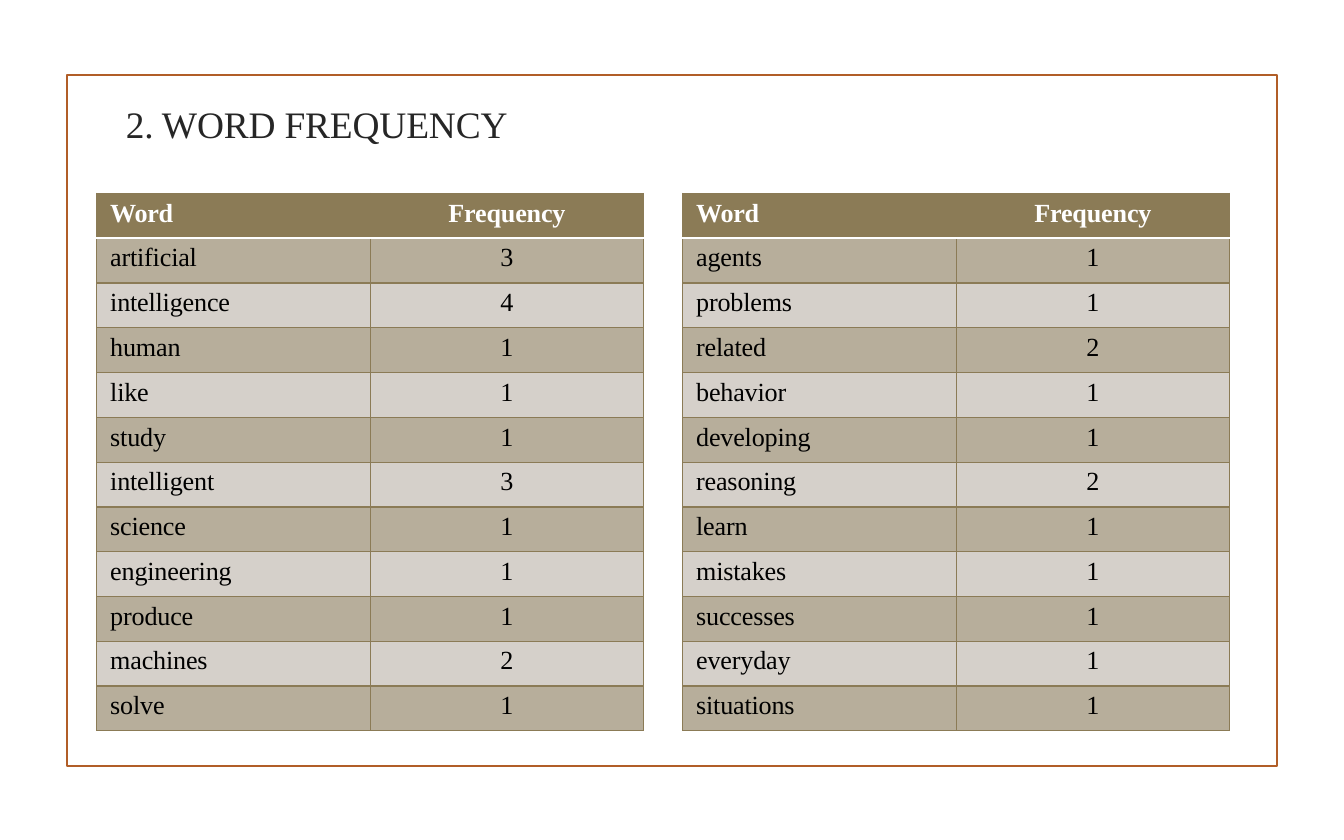
from dataclasses import dataclass

from lxml.etree import SubElement
from pptx import Presentation
from pptx.dml.color import RGBColor
from pptx.enum.shapes import MSO_SHAPE as Shape
from pptx.enum.text import MSO_ANCHOR as Anchor
from pptx.enum.text import MSO_AUTO_SIZE as Fit
from pptx.enum.text import PP_ALIGN as Align
from pptx.oxml import parse_xml
from pptx.oxml.ns import nsdecls, qn
from pptx.util import Inches, Pt

FONT = "Times New Roman"
GOLD, DARK, LIGHT = "8B7B56", "B7AE9B", "D5D0CA"
WHITE, BLACK = "FFFFFF", "000000"


@dataclass
class Count:
    word: str
    freq: int


@dataclass
class Grid:
    left: float
    space: float
    rows: list[Count]


def color(code: str) -> RGBColor:
    return RGBColor.from_string(code)


def style(para, size: float, code: str, bold: bool = False, gap: float = 0) -> None:
    """Format every run; gap is the letter spacing in points."""
    for run in para.runs:
        run.font.name = FONT
        run.font.size = Pt(size)
        run.font.bold = bold
        run.font.color.rgb = color(code)
        run.font._element.set("spc", str(round(gap * 100)))


def add_edges(cell, first: bool, second: bool) -> None:
    """Draw the cell borders, with a white rule below the header."""
    props = cell._tc.get_or_add_tcPr()
    white = {"B"} if first else {"T"} if second else set()
    for i, side in enumerate("LRTB"):
        code, width = (WHITE, 1.25) if side in white else (GOLD, 0.75)
        line = parse_xml(f'<a:ln{side} {nsdecls("a")} w="{Pt(width)}"/>')
        fill = SubElement(line, qn("a:solidFill"))
        SubElement(fill, qn("a:srgbClr")).set("val", code)
        props.insert(i, line)


def add_cell(cell, text: str, row: int, col: int, space: float) -> None:
    head = row == 0
    cell.margin_left = Inches(0 if col else 0.1)
    cell.margin_top = Inches(0.04)
    cell.margin_right = cell.margin_bottom = 0
    cell.fill.solid()
    cell.fill.fore_color.rgb = color(GOLD if head else DARK if row % 2 else LIGHT)
    add_edges(cell, head, row == 1)
    para = cell.text_frame.paragraphs[0]
    para.text = text
    para.space_before = Pt(space)
    para.alignment = Align.CENTER if col else Align.LEFT
    gap = (-0.1 if col else -0.2) if head else (0 if col else -0.1)
    style(para, 14, WHITE if head else BLACK, head, gap)


def add_grid(slide, grid: Grid) -> None:
    lines = [("Word", "Frequency")] + [(c.word, str(c.freq)) for c in grid.rows]
    table = slide.shapes.add_table(
        len(lines), 2, Inches(grid.left), Inches(1.44), Inches(4.07), Inches(4)
    ).table
    for row, line in enumerate(lines):
        for col, text in enumerate(line):
            add_cell(table.cell(row, col), text, row, col, grid.space)


def add_frame(slide) -> None:
    box = slide.shapes.add_shape(
        Shape.RECTANGLE, Inches(0.5), Inches(0.56), Inches(9), Inches(5.14)
    )
    box.shadow.inherit = False
    box.fill.background()
    box.line.color.rgb = color("B15E28")
    box.line.width = Pt(1.25)


def set_title(slide, text: str) -> None:
    title = slide.shapes.title
    title.left, title.top = 0, Inches(0.74)
    title.width, title.height = Inches(4.71), Inches(0.35)
    frame = title.text_frame
    frame.text = text
    frame.word_wrap = True
    frame.auto_size = Fit.SHAPE_TO_FIT_TEXT
    frame.vertical_anchor = Anchor.MIDDLE
    frame.margin_left = frame.margin_right = frame.margin_bottom = 0
    frame.margin_top = Inches(0.01)
    para = frame.paragraphs[0]
    para.alignment = Align.CENTER
    para.space_before = Pt(1)
    style(para, 20, "262626", gap=-0.1)


GRIDS = [
    Grid(0.72, 2.5, [
        Count("artificial", 3), Count("intelligence", 4), Count("human", 1),
        Count("like", 1), Count("study", 1), Count("intelligent", 3),
        Count("science", 1), Count("engineering", 1), Count("produce", 1),
        Count("machines", 2), Count("solve", 1),
    ]),
    Grid(5.08, 2.6, [
        Count("agents", 1), Count("problems", 1), Count("related", 2),
        Count("behavior", 1), Count("developing", 1), Count("reasoning", 2),
        Count("learn", 1), Count("mistakes", 1), Count("successes", 1),
        Count("everyday", 1), Count("situations", 1),
    ]),
]


def main() -> None:
    deck = Presentation()
    deck.slide_width, deck.slide_height = Inches(10), Inches(6.25)
    slide = deck.slides.add_slide(deck.slide_layouts[5])

    # Frame and title
    add_frame(slide)
    set_title(slide, "2. WORD FREQUENCY")

    # Word counts
    for grid in GRIDS:
        add_grid(slide, grid)
    deck.save("out.pptx")


if __name__ == "__main__":
    main()
